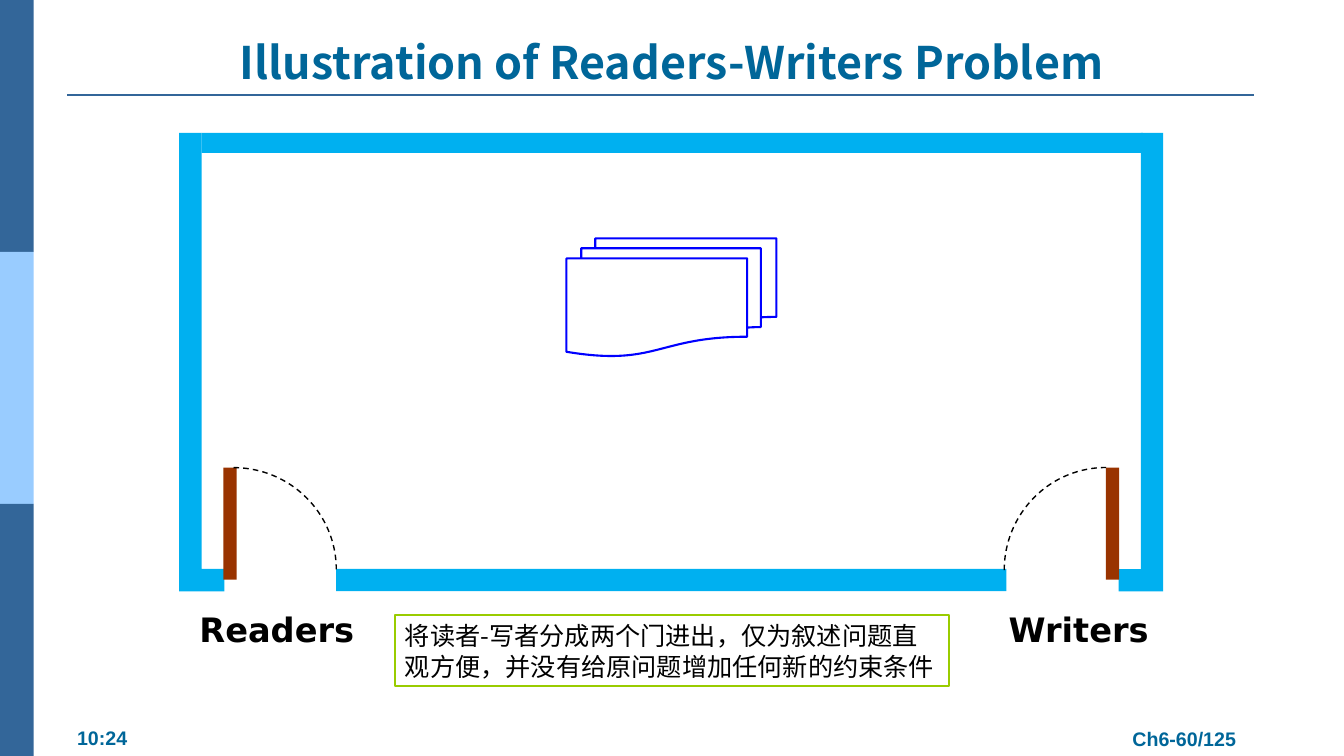
from lxml import etree
from pptx import Presentation
from pptx import util as u
from pptx.dml import color
from pptx.enum import dml, shapes, text
from pptx.oxml import ns

HUES = {
    "navy": "336699", "sky": "99CCFF", "teal": "006699", "wall": "00B0F0",
    "door": "993300", "ink": "000000", "page": "0000FF", "lime": "99CC00",
}
KIND = shapes.MSO_SHAPE
SANS = "Noto Sans CJK SC"


def paint(name):
    return color.RGBColor.from_string(HUES[name])


def frame(box):
    return [u.Pt(size) for size in box]


def draw(slide, kind, box, fill=None, line=None, width=1.5):
    shape = slide.shapes.add_shape(kind, *frame(box))
    shape.shadow.inherit = False
    if fill:
        shape.fill.solid()
        shape.fill.fore_color.rgb = paint(fill)
    else:
        shape.fill.background()
    if line:
        shape.line.color.rgb = paint(line)
        shape.line.width = u.Pt(width)
    else:
        shape.line.fill.background()
    return shape


def rule(slide, start, end):
    line = slide.shapes.add_connector(
        shapes.MSO_CONNECTOR.STRAIGHT, *frame(start + end))
    line.line.color.rgb = paint("navy")
    line.line.width = u.Pt(1.5)
    etree.SubElement(line._element.spPr, ns.qn("a:effectLst"))


def write(shape, words, size, face, hue, bold=True, align="LEFT", wrap=True):
    body = shape.text_frame
    body.word_wrap = wrap
    body.vertical_anchor = text.MSO_ANCHOR.TOP
    para = body.paragraphs[0]
    para.alignment = getattr(text.PP_ALIGN, align)
    run = para.add_run()
    run.text = words
    font = run.font
    font.size, font.bold, font.name = u.Pt(size), bold, face
    font.color.rgb = paint(hue)
    asian = etree.SubElement(run._r.get_or_add_rPr(), ns.qn("a:ea"))
    asian.set("typeface", face)
    return para


def label(slide, box, *args, **style):
    shape = slide.shapes.add_textbox(*frame(box))
    return write(shape, *args, **style)


def stop(para, place):
    """Add a left tab stop, in points from the text edge."""
    tabs = etree.SubElement(para._p.get_or_add_pPr(), ns.qn("a:tabLst"))
    tab = etree.SubElement(tabs, ns.qn("a:tab"))
    tab.set("pos", str(u.Pt(place)))
    tab.set("algn", "l")


def flip(shape):
    shape._element.spPr.find(ns.qn("a:xfrm")).set("flipH", "1")


def swing(slide, box, turn=0):
    """Draw the dashed path of an opening door."""
    arc = draw(slide, KIND.ARC, box, line="ink", width=1)
    arc.line.dash_style = dml.MSO_LINE.DASH
    arc.rotation = turn


def trim(slide):
    for row, hue in enumerate(("navy", "sky", "navy")):
        draw(slide, KIND.RECTANGLE, (0, row * 180, 24, 180), hue)
    rule(slide, (48, 67.7), (896, 67.7))
    label(slide, (800.6, 515.5, 90.7, 24.5), "Ch6-60/125", 14, "Arial",
          "teal", align="CENTER", wrap=False)
    label(slide, (48, 514.8, 50.4, 24.5), "10:24", 14, "Arial", "teal",
          wrap=False)


def room(slide):
    draw(slide, KIND.CORNER, (128, 95, 32.2, 327.4), "wall")
    flip(draw(slide, KIND.CORNER, (799, 95, 31.8, 327.4), "wall"))
    draw(slide, KIND.RECTANGLE, (144, 95, 672.5, 14.2), "wall")
    draw(slide, KIND.RECTANGLE, (240, 406.3, 478.8, 16), "wall")
    for left in (159.6, 790):
        draw(slide, KIND.RECTANGLE, (left, 334, 9.4, 80), "door")
    swing(slide, (93.4, 334, 146.8, 145.4))
    swing(slide, (716.6, 334.6, 146.8, 145.4), 270)
    draw(slide, KIND.FLOWCHART_MULTIDOCUMENT, (404.6, 170.3, 150, 84.2),
         line="page")


def main():
    deck = Presentation()
    deck.slide_width, deck.slide_height = u.Pt(960), u.Pt(540)
    slide = deck.slides.add_slide(deck.slide_layouts[6])
    trim(slide)

    title = slide.shapes.add_textbox(*frame((48, 18.7, 864, 45.4)))
    write(title, "Illustration of Readers-Writers Problem", 32, SANS, "teal",
          align="CENTER")
    title.text_frame.vertical_anchor = text.MSO_ANCHOR.BOTTOM
    title.text_frame.margin_bottom = u.Pt(1)

    room(slide)
    doors = label(slide, (135.4, 431.3, 712, 36), "Readers\tWriters", 24,
                  "DejaVu Sans", "ink")
    stop(doors, 578)
    note = draw(slide, KIND.RECTANGLE, (282.2, 439.2, 396, 51.1), line="lime")
    para = write(note, "将读者-写者分成两个门进出，仅为叙述问题直观方便，"
                 "并没有给原问题增加任何新的约束条件", 18, SANS, "ink", bold=False)
    para.line_spacing = u.Pt(22)
    deck.save("out.pptx")


if __name__ == "__main__":
    main()
